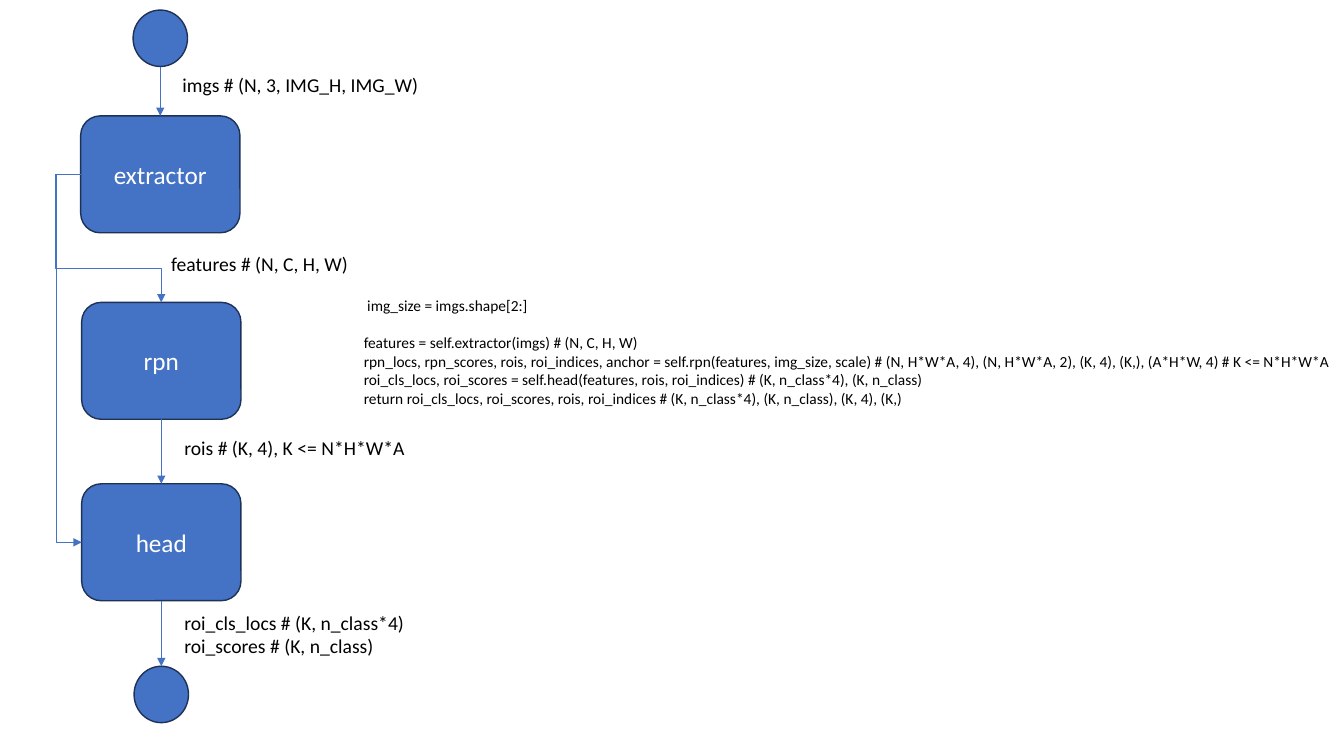
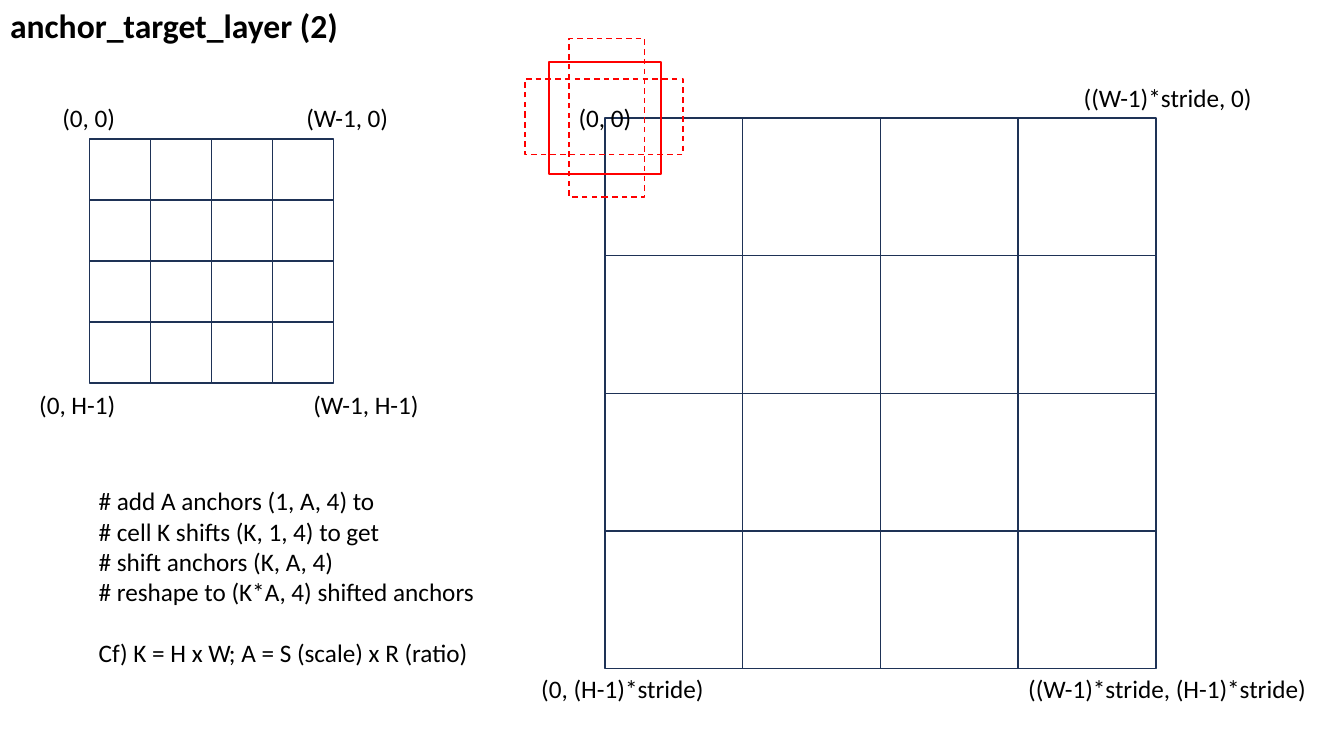
from dataclasses import dataclass

from lxml import etree
from pptx import Presentation
from pptx.dml.color import RGBColor
from pptx.enum import dml, shapes, text
from pptx.oxml.ns import qn
from pptx.util import Inches, Pt


@dataclass(frozen=True)
class Theme:
    font: str = "Calibri"
    ink: RGBColor = RGBColor(0x00, 0x00, 0x00)
    white: RGBColor = RGBColor(0xFF, 0xFF, 0xFF)
    blue: RGBColor = RGBColor(0x44, 0x72, 0xC4)
    navy: RGBColor = RGBColor(0x1E, 0x32, 0x56)
    red: RGBColor = RGBColor(0xFF, 0x00, 0x00)
    title: int = 24
    body: int = 18
    label: int = 14
    code: int = 11
    outline: float = 1
    arrow: float = 0.5
    line_height: float = 1.22


T = Theme()
ROUND, OVAL, RECT = (shapes.MSO_SHAPE.ROUNDED_RECTANGLE, shapes.MSO_SHAPE.OVAL,
                     shapes.MSO_SHAPE.RECTANGLE)
TOP, LEFT, BOTTOM = 0, 1, 2


def apply(obj, **values):
    for name, value in values.items():
        setattr(obj, name, value)


def write(tf, lines, size, color=T.ink, align=text.PP_ALIGN.LEFT, bold=False, gap_at=None):
    """Fill a text frame; one empty line's height precedes paragraph gap_at."""
    for i, line in enumerate(lines):
        p = tf.paragraphs[0] if i == 0 else tf.add_paragraph()
        p.alignment = align
        if i == gap_at:
            p.space_before = Pt(size * T.line_height)
        r = p.add_run()
        r.text = line
        apply(r.font, name=T.font, size=Pt(size), bold=bold)
        r.font.color.rgb = color


def add_text(s, box, lines, size, wrap=True, gap_at=None):
    tf = s.shapes.add_textbox(*map(Inches, box)).text_frame
    apply(tf, word_wrap=wrap, auto_size=text.MSO_AUTO_SIZE.SHAPE_TO_FIT_TEXT)
    write(tf, lines, size, gap_at=gap_at)


def add_title(s, box, title):
    sp = s.shapes.title
    apply(sp, **dict(zip(("left", "top", "width", "height"), map(Inches, box))))
    apply(sp.text_frame, word_wrap=True, vertical_anchor=text.MSO_ANCHOR.TOP,
          auto_size=text.MSO_AUTO_SIZE.SHAPE_TO_FIT_TEXT)
    write(sp.text_frame, [title], T.title, bold=True)


def add_shape(s, kind, box, line, fill=None, dashed=False):
    sp = s.shapes.add_shape(kind, *map(Inches, box))
    sp.shadow.inherit = False
    if fill is None:
        sp.fill.background()
    else:
        sp.fill.solid()
        sp.fill.fore_color.rgb = fill
    sp.line.color.rgb = line
    sp.line.width = Pt(T.outline)
    if dashed:
        sp.line.dash_style = dml.MSO_LINE.DASH
    return sp


def add_node(s, kind, box, label=None):
    sp = add_shape(s, kind, box, T.navy, T.blue)
    if label:
        sp.text_frame.vertical_anchor = text.MSO_ANCHOR.MIDDLE
        write(sp.text_frame, [label], T.body, T.white, text.PP_ALIGN.CENTER)
    return sp


def style_arrow(cx):
    cx.line.color.rgb = T.blue
    cx.line.width = Pt(T.arrow)
    etree.SubElement(cx.line._get_or_add_ln(), qn("a:tailEnd"), type="triangle")
    etree.SubElement(cx._element.spPr, qn("a:effectLst"))


def add_drop(s, upper, lower):
    """Straight arrow from the bottom of one node to the top of the next."""
    x = upper.left + upper.width // 2
    cx = s.shapes.add_connector(shapes.MSO_CONNECTOR.STRAIGHT, x, upper.top + upper.height,
                                x, lower.top)
    if upper.auto_shape_type != OVAL:
        cx.begin_connect(upper, BOTTOM)
    cx.end_connect(lower, TOP)
    style_arrow(cx)


def add_side_route(s, start, end, end_site, preset, lane, turn=None):
    """Elbow arrow leaving start's left side through a lane at x = lane inches."""
    cx = s.shapes.add_connector(shapes.MSO_CONNECTOR.ELBOW, 0, 0, 0, 0)
    cx.begin_connect(start, LEFT)
    cx.end_connect(end, end_site)
    bends = [(Inches(lane) - cx.begin_x) / cx.width]
    if turn is not None:
        bends.append((Inches(turn) - cx.begin_y) / cx.height)
    xfrm = cx._element.spPr.find(qn("a:xfrm"))
    for name, value in {"rot": "10800000", "flipH": "1", "flipV": "1"}.items():
        xfrm.set(name, value)
    geom = cx._element.spPr.find(qn("a:prstGeom"))
    geom.set("prst", preset)
    guides = geom.find(qn("a:avLst"))
    if guides is None:
        guides = etree.SubElement(geom, qn("a:avLst"))
    for i, bend in enumerate(bends, 1):
        etree.SubElement(guides, qn("a:gd"), name=f"adj{i}", fmla=f"val {round(bend * 100000)}")
    style_arrow(cx)


def network_flow(s, x, y):
    """Column of nodes from input to output, with x, y at the first circle."""
    block, dot = (1.58, 1.16), (0.54, 0.56)
    nodes = [add_node(s, kind, (x + dx, y + dy, *size), label)
             for kind, dx, dy, size, label in (
                 (OVAL, 0, 0, dot, None),
                 (ROUND, -0.52, 1.05, block, "extractor"),
                 (ROUND, -0.51, 2.9, block, "rpn"),
                 (ROUND, -0.51, 4.7, block, "head"),
                 (OVAL, 0.01, 6.51, dot, None))]
    source, extractor, rpn, head, result = nodes
    for upper, lower in ((source, extractor), (rpn, head), (head, result)):
        add_drop(s, upper, lower)
    lane = x - 0.77
    add_side_route(s, extractor, rpn, TOP, "bentConnector4", lane, y + 2.56)
    add_side_route(s, extractor, head, LEFT, "bentConnector3", lane)
    for dx, dy, w, h, lines in (
            (0.39, 0.57, 2.61, 0.34, ["imgs # (N, 3, IMG_H, IMG_W)"]),
            (0.28, 2.35, 2.03, 0.34, ["features # (N, C, H, W)"]),
            (0.41, 4.18, 3.16, 0.34, ["rois # (K, 4), K <= N*H*W*A"]),
            (0.41, 5.91, 2.76, 0.57, ["roi_cls_locs # (K, n_class*4)",
                                      "roi_scores # (K, n_class)"])):
        add_text(s, (x + dx, y + dy, w, h), lines, T.label)


def cell_grid(s, x, y, cell, labels, n=4):
    """Square grid of n by n cells; labels are offset from its top left corner."""
    for row in range(n):
        for col in range(n):
            add_shape(s, RECT, (x + col * cell, y + row * cell, cell, cell), T.navy)
    for dx, dy, w, label in labels:
        add_text(s, (x + dx, y + dy, w, 0.4), [label], T.body, wrap=False)


def anchor_boxes(s, x, y):
    """Square, tall and wide anchors around the point x, y."""
    for dx, dy, w, h, dashed, turn in ((0, 0, 1.11, 1.11, False, 0),
                                       (0.02, 0, 0.75, 1.57, True, 0),
                                       (-0.01, -0.01, 0.75, 1.57, True, 90)):
        sp = add_shape(s, RECT, (x + dx - w / 2, y + dy - h / 2, w, h), T.red, dashed=dashed)
        sp.rotation = turn


def flow_slide(prs):
    s = prs.slides.add_slide(prs.slide_layouts[6])
    network_flow(s, 1.32, 0.1)
    add_text(s, (3.51, 2.89, 9.83, 1.21), [
        " img_size = imgs.shape[2:]",
        "features = self.extractor(imgs) # (N, C, H, W)",
        "rpn_locs, rpn_scores, rois, roi_indices, anchor = self.rpn(features, img_size, scale) "
        "# (N, H*W*A, 4), (N, H*W*A, 2), (K, 4), (K,), (A*H*W, 4) # K <= N*H*W*A",
        "roi_cls_locs, roi_scores = self.head(features, rois, roi_indices) "
        "# (K, n_class*4), (K, n_class)",
        "return roi_cls_locs, roi_scores, rois, roi_indices "
        "# (K, n_class*4), (K, n_class), (K, 4), (K,)",
    ], T.code, gap_at=1)


def anchor_slide(prs):
    s = prs.slides.add_slide(prs.slide_layouts[5])
    add_title(s, (0, 0, 4.46, 0.5), "anchor_target_layer (2)")
    cell_grid(s, 0.89, 1.38, 0.605, (
        (-0.37, -0.41, 0.73, "(0, 0)"),
        (2.05, -0.41, 1.03, "(W-1, 0)"),
        (-0.6, 2.43, 0.97, "(0, H-1)"),
        (2.12, 2.43, 1.27, "(W-1, H-1)")))
    cell_grid(s, 6, 1.17, 1.366, (
        (-0.36, -0.2, 0.73, "(0, 0)"),
        (4.65, -0.4, 1.9, "((W-1)*stride, 0)"),
        (-0.73, 5.46, 1.83, "(0, (H-1)*stride)"),
        (4.1, 5.46, 3, "((W-1)*stride, (H-1)*stride)")))
    anchor_boxes(s, 6, 1.17)
    add_text(s, (0.88, 4.77, 4, 1.92), [
        "# add A anchors (1, A, 4) to",
        "# cell K shifts (K, 1, 4) to get",
        "# shift anchors (K, A, 4)",
        "# reshape to (K*A, 4) shifted anchors",
        "Cf) K = H x W; A = S (scale) x R (ratio)",
    ], T.body, gap_at=4)


def main():
    prs = Presentation()
    apply(prs, slide_width=Inches(13.33), slide_height=Inches(7.5))
    flow_slide(prs)
    anchor_slide(prs)
    prs.save("out.pptx")


if __name__ == "__main__":
    main()
